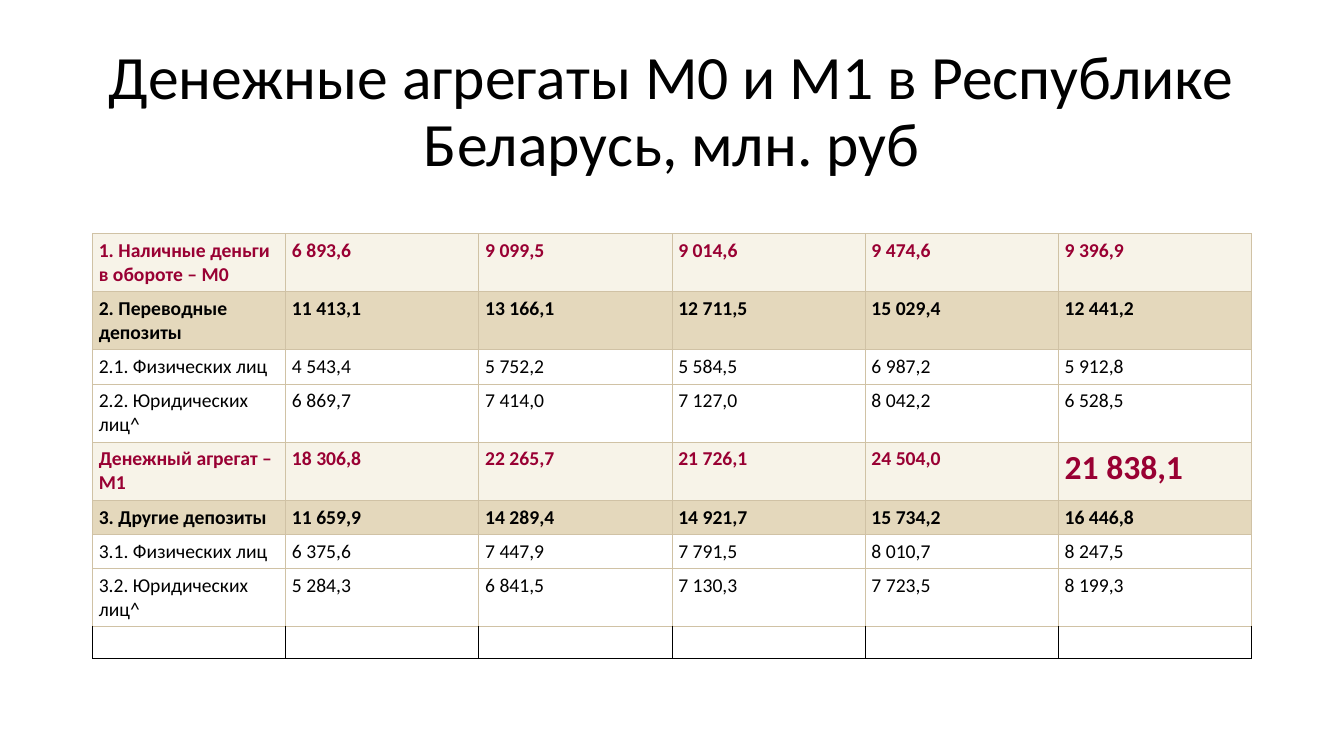
from dataclasses import dataclass

from lxml import etree
from pptx import Presentation
from pptx import util as u
from pptx.dml.color import RGBColor
from pptx.enum import text
from pptx.oxml.ns import qn


@dataclass(frozen=True)
class Theme:
    font: str = "Calibri"
    black: str = "000000"
    accent: str = "990033"
    white: str = "FFFFFF"
    cream: str = "F7F3E8"
    sand: str = "E4D8BC"
    grid: str = "D0C2A5"
    title_size: int = 44
    table_size: int = 14
    large_size: int = 24
    empty_size: int = 12


THEME = Theme()
ROW_STYLES = {
    "aggregate": dict(fill=THEME.cream, color=THEME.accent, bold=True),
    "section": dict(fill=THEME.sand, color=THEME.black, bold=True),
    "detail": dict(fill=THEME.white, color=THEME.black, bold=False),
}
TALL, SHORT, EMPTY = 1.44, 0.84, 0.8
ROWS = [
    ("aggregate", TALL, "1. Наличные деньги в обороте – М0",
     (6893.6, 9099.5, 9014.6, 9474.6, 9396.9)),
    ("section", TALL, "2. Переводные депозиты",
     (11413.1, 13166.1, 12711.5, 15029.4, 12441.2)),
    ("detail", SHORT, "2.1. Физических лиц",
     (4543.4, 5752.2, 5584.5, 6987.2, 5912.8)),
    ("detail", TALL, "2.2. Юридических лиц^",
     (6869.7, 7414.0, 7127.0, 8042.2, 6528.5)),
    ("aggregate", TALL, "Денежный агрегат – М1",
     (18306.8, 22265.7, 21726.1, 24504.0, 21838.1)),
    ("section", SHORT, "3. Другие депозиты",
     (11659.9, 14289.4, 14921.7, 15734.2, 16446.8)),
    ("detail", SHORT, "3.1. Физических лиц",
     (6375.6, 7447.9, 7791.5, 8010.7, 8247.5)),
    ("detail", TALL, "3.2. Юридических лиц^",
     (5284.3, 6841.5, 7130.3, 7723.5, 8199.3)),
]
HIGHLIGHT = 21838.1
NO_BREAK_SPACE = chr(160)


def amount(value):
    """Format with a decimal comma and unbreakable thousands spaces."""
    return f"{value:,.1f}".replace(",", NO_BREAK_SPACE).replace(".", ",")


def write(frame, words, size, color, bold=False, align=None, spacing=None):
    para = frame.paragraphs[0]
    para.alignment = align
    para.line_spacing = spacing
    span = para.add_run()
    span.text = words
    span.font.name = THEME.font
    span.font.size = u.Pt(size)
    span.font.bold = bold
    span.font.color.rgb = RGBColor.from_string(color)


def draw_borders(cell, side_color, top_color, bottom_color):
    properties = cell._tc.get_or_add_tcPr()
    sides = {"a:lnL": side_color, "a:lnR": side_color,
             "a:lnT": top_color, "a:lnB": bottom_color}
    for position, (tag, color) in enumerate(sides.items()):
        line = etree.Element(qn(tag), w=str(u.Pt(0.75)))
        fill = etree.SubElement(line, qn("a:solidFill"))
        etree.SubElement(fill, qn("a:srgbClr"), val=color)
        properties.insert(position, line)


class SlideBuilder:
    def __init__(self, deck, theme):
        self.theme = theme
        self.page = deck.slides.add_slide(deck.slide_layouts[5])

    def title(self, words, left, top, width, height):
        box = self.page.shapes.title
        box.left, box.top = u.Cm(left), u.Cm(top)
        box.width, box.height = u.Cm(width), u.Cm(height)
        frame = box.text_frame
        frame.word_wrap = True
        frame.auto_size = text.MSO_AUTO_SIZE.NONE
        frame.vertical_anchor = text.MSO_ANCHOR.MIDDLE
        write(frame, words, self.theme.title_size, self.theme.black,
              align=text.PP_ALIGN.CENTER, spacing=0.9)

    def table(self, rows, left, top, width):
        """Draw the data rows, closed by one empty row."""
        theme = self.theme
        heights = [row[1] for row in rows] + [EMPTY]
        columns = 1 + len(rows[0][3])
        grid = self.page.shapes.add_table(
            len(heights), columns, u.Cm(left), u.Cm(top),
            u.Cm(width), u.Cm(sum(heights))).table
        grid.first_row = grid.horz_banding = False
        for line, height in zip(grid.rows, heights):
            line.height = u.Cm(height)
        for index, (kind, _, label, values) in enumerate(rows):
            for cell, value in zip(grid.rows[index].cells, (label, *values)):
                words = label if value == label else amount(value)
                size = theme.large_size if value == HIGHLIGHT else theme.table_size
                self.cell(cell, words, size, **ROW_STYLES[kind])
        for cell in grid.rows[len(rows)].cells:
            self.empty_cell(cell)

    def cell(self, cell, words, size, fill, color, bold):
        cell.margin_left = cell.margin_right = u.Cm(0.16)
        cell.margin_top = cell.margin_bottom = u.Cm(0.13)
        cell.fill.solid()
        cell.fill.fore_color.rgb = RGBColor.from_string(fill)
        write(cell.text_frame, words, size, color, bold)
        draw_borders(cell, *[self.theme.grid] * 3)

    def empty_cell(self, cell):
        cell.fill.background()
        draw_borders(cell, self.theme.black, self.theme.grid, self.theme.black)
        etree.SubElement(cell.text_frame.paragraphs[0]._p, qn("a:endParaRPr"),
                         sz=str(self.theme.empty_size * 100))


def main():
    deck = Presentation()
    deck.slide_width, deck.slide_height = u.Cm(33.87), u.Cm(19.05)
    slide = SlideBuilder(deck, THEME)
    slide.title("Денежные агрегаты М0 и М1 в Республике Беларусь, млн. руб",
                left=2.33, top=1.01, width=29.21, height=3.68)
    slide.table(ROWS, left=2.33, top=5.89, width=29.21)
    deck.save("out.pptx")


if __name__ == "__main__":
    main()
